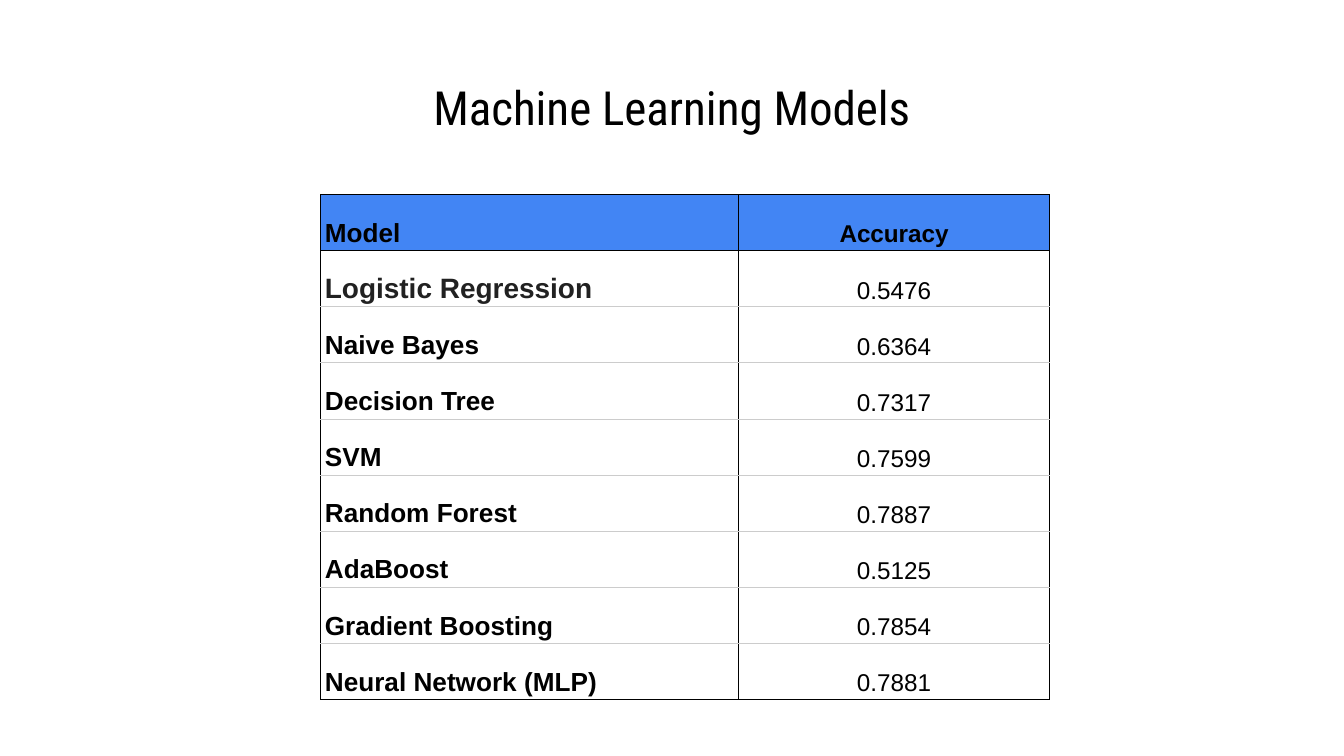
from lxml.etree import SubElement
from pptx import Presentation
from pptx.dml.color import RGBColor
from pptx.enum.text import MSO_ANCHOR, MSO_AUTO_SIZE, PP_ALIGN
from pptx.oxml.ns import qn
from pptx.util import Cm, Pt

# Content
TITLE = "Machine Learning Models"
HEADER = ("Model", "Accuracy")
RESULTS = [
    ("Logistic Regression", "0.5476"),
    ("Naive Bayes", "0.6364"),
    ("Decision Tree", "0.7317"),
    ("SVM", "0.7599"),
    ("Random Forest", "0.7887"),
    ("AdaBoost", "0.5125"),
    ("Gradient Boosting", "0.7854"),
    ("Neural Network (MLP)", "0.7881"),
]

# Style
BLACK = RGBColor(0x00, 0x00, 0x00)
CHARCOAL = RGBColor(0x21, 0x21, 0x21)
GRID_GREY = RGBColor(0xCC, 0xCC, 0xCC)
HEADER_BLUE = RGBColor(0x42, 0x85, 0xF4)
WHITE = RGBColor(0xFF, 0xFF, 0xFF)
COLUMN_WIDTHS = (Cm(7.9), Cm(5.87))
ROW_HEIGHT = Cm(1.06)


def add_run(paragraph, text, font_name, size, color, bold=False):
    run = paragraph.add_run()
    run.text = text
    run.font.name = font_name
    run.font.size = Pt(size)
    run.font.color.rgb = color
    run.font.bold = bold


def set_borders(cell, top, bottom):
    """Black sides; the colours above and below depend on the row."""
    properties = cell._tc.get_or_add_tcPr()
    sides = (("a:lnL", BLACK), ("a:lnR", BLACK), ("a:lnT", top), ("a:lnB", bottom))
    for position, (tag, color) in enumerate(sides):
        line = SubElement(properties, qn(tag), w=str(Pt(0.6)))
        fill = SubElement(line, qn("a:solidFill"))
        SubElement(fill, qn("a:srgbClr"), val=str(color))
        properties.insert(position, line)  # borders come before the fill


prs = Presentation()
prs.slide_width, prs.slide_height = Cm(25.4), Cm(14.29)
slide = prs.slides.add_slide(prs.slide_layouts[5])

# Title
title = slide.shapes.title
title.left, title.top, title.width, title.height = Cm(1.27), Cm(1.24), Cm(22.86), Cm(1.35)
frame = title.text_frame
frame.word_wrap = True
frame.auto_size = MSO_AUTO_SIZE.NONE
frame.vertical_anchor = MSO_ANCHOR.TOP
frame.margin_left = frame.margin_right = Cm(0.25)
frame.margin_top = frame.margin_bottom = Cm(0.25)
heading = frame.paragraphs[0]
heading.alignment = PP_ALIGN.CENTER
add_run(heading, TITLE, "Roboto Condensed", 25.2, BLACK)

# Table of accuracies
rows = [HEADER, *RESULTS]
last = len(rows) - 1
table = slide.shapes.add_table(
    len(rows), len(HEADER), Cm(6.06), Cm(3.68), sum(COLUMN_WIDTHS), ROW_HEIGHT * len(rows)
).table
for column, width in zip(table.columns, COLUMN_WIDTHS):
    column.width = width

for r, row in enumerate(rows):
    table.rows[r].height = ROW_HEIGHT
    for c, text in enumerate(row):
        cell = table.cell(r, c)
        cell.vertical_anchor = MSO_ANCHOR.BOTTOM
        cell.margin_left = cell.margin_right = Cm(0.08)
        cell.margin_top = cell.margin_bottom = Cm(0.05)
        cell.fill.solid()
        cell.fill.fore_color.rgb = HEADER_BLUE if r == 0 else WHITE
        set_borders(
            cell,
            top=BLACK if r <= 1 else GRID_GREY,
            bottom=BLACK if r in (0, last) else GRID_GREY,
        )

        paragraph = cell.text_frame.paragraphs[0]
        paragraph.line_spacing = 1.15
        paragraph.alignment = PP_ALIGN.CENTER if c == 1 else PP_ALIGN.LEFT
        # The first model is slightly larger and softer than the others
        first_model = (r, c) == (1, 0)
        size = 15 if first_model else (14, 13)[c]
        color = CHARCOAL if first_model else BLACK
        add_run(paragraph, text, "Arial", size, color, bold=r == 0 or c == 0)

prs.save("out.pptx")
